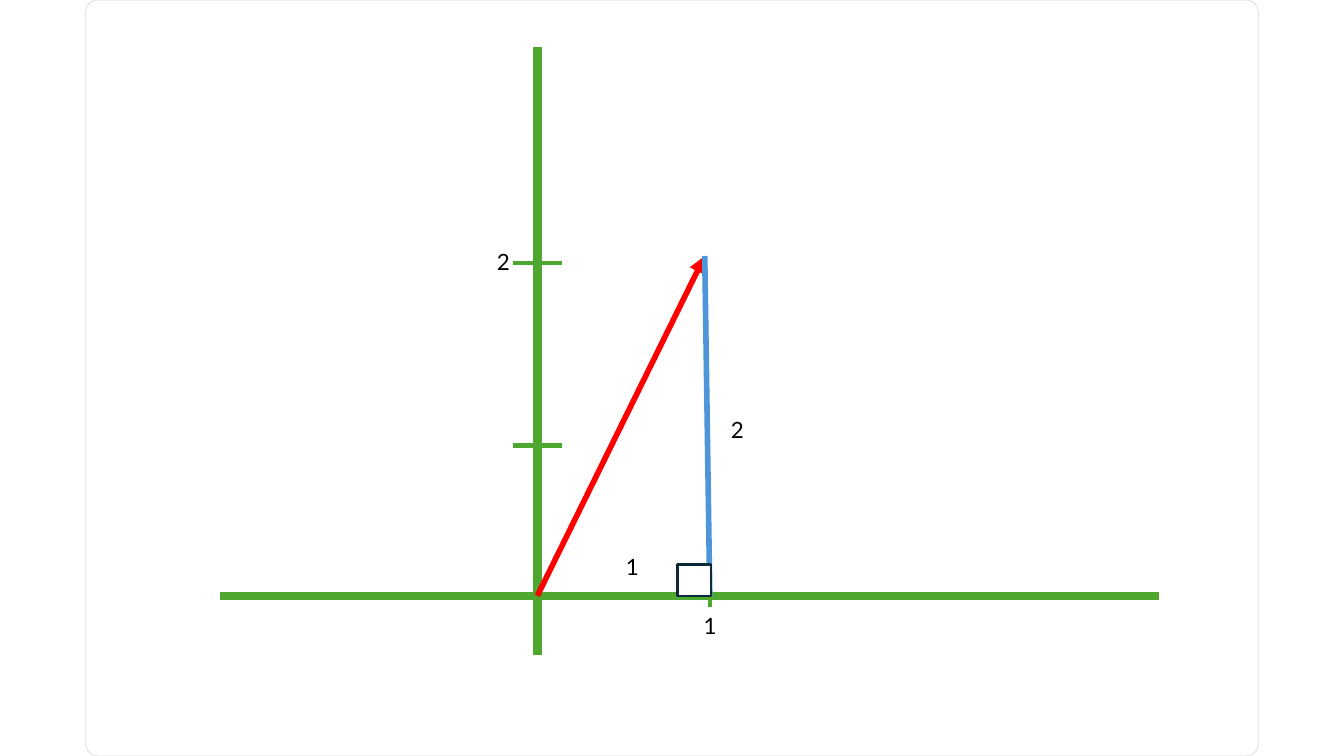
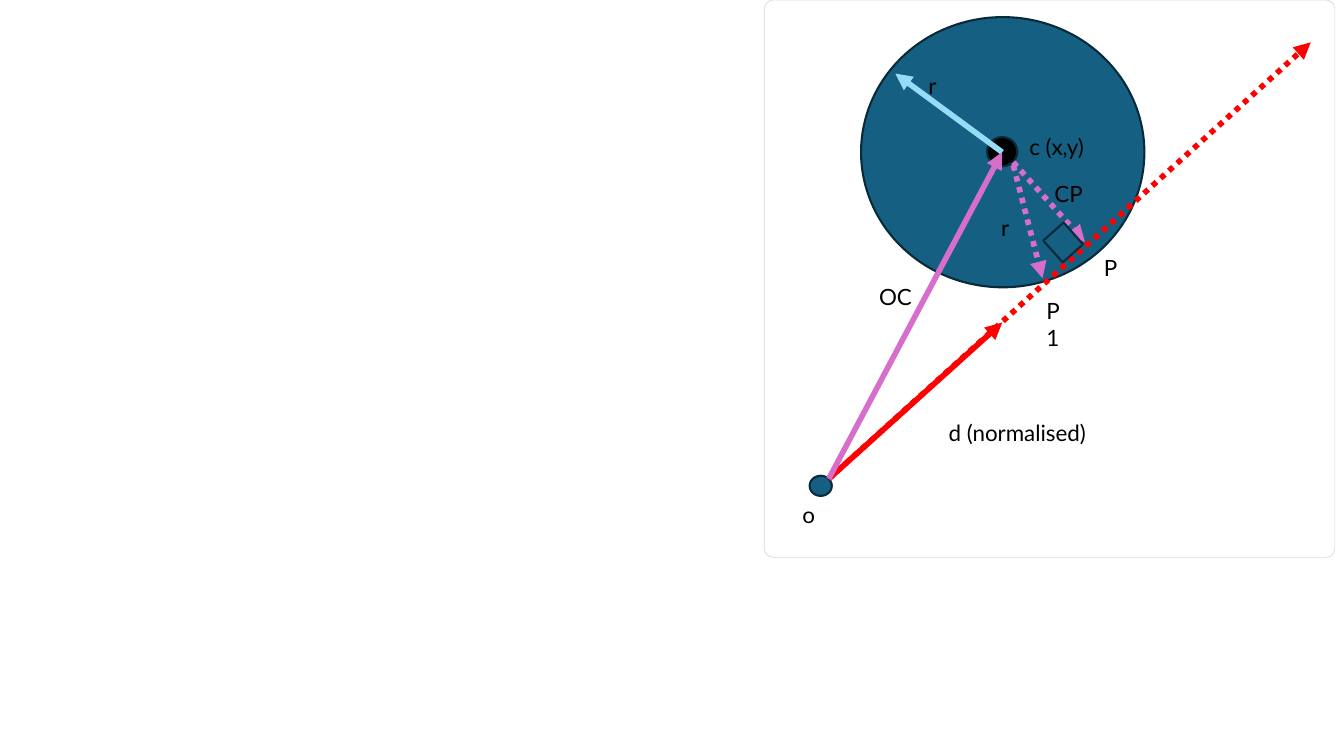
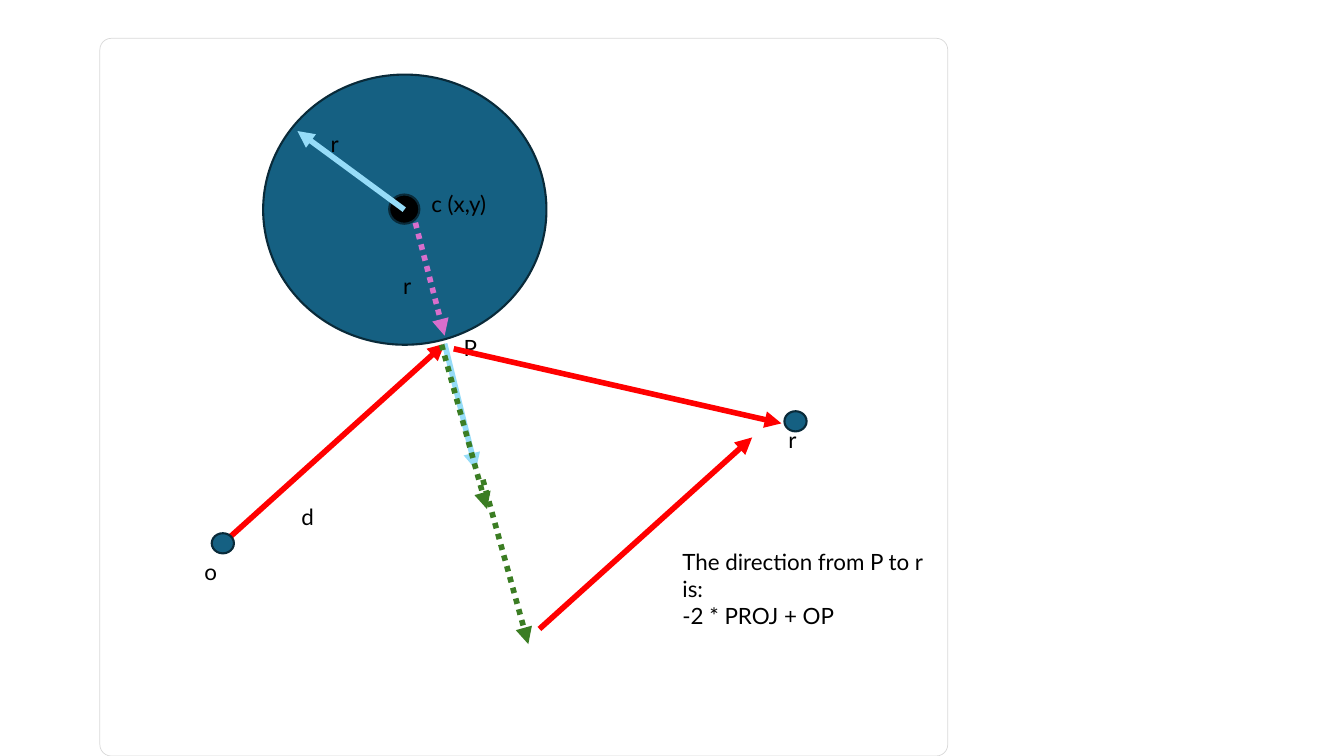
from lxml.etree import SubElement
from pptx import Presentation
from pptx.dml.color import RGBColor
from pptx.enum.dml import MSO_LINE as Dash
from pptx.enum.shapes import MSO_CONNECTOR as Connector, MSO_SHAPE as Preset
from pptx.enum.text import MSO_AUTO_SIZE as AutoSize, PP_ALIGN as Align
from pptx.oxml.ns import qn
from pptx.util import Pt

PX = 9144
SLIDE_SIZE = (1333, 750)

THEME = {
    "colors": {
        "white": "FFFFFF", "border": "D9D9D9", "black": "000000",
        "axis": "4EA72E", "ray": "FF0000", "side": "4E95D9",
        "sphere": "156082", "outline": "092A39", "radius": "96DCF8",
        "center_ray": "D86ECC", "projection": "3B7D23",
    },
    "font": {"name": "Lato", "size": Pt(16)},
    "widths": {"card": 0.5, "outline": 1.5, "tick": 3, "arrow": 4, "axis": 6},
    "card_corner": 0.016,
}

ORIGIN = (533, 591)
TICK_HALF = 24
Y_TICKS = (442, 261)
X_TICK = 704
VECTOR_TIP = (699, 254)

AXIS_PARTS = [
    ("line", (1150, ORIGIN[1]), (218, ORIGIN[1]), "axis", {"width": "axis"}),
    ("line", (ORIGIN[0], 47), (ORIGIN[0], 650), "axis", {"width": "axis"}),
    ("arrow", ORIGIN, VECTOR_TIP, "ray"),
    ("label", (483, 241, 32, 37), "2"),
    ("label", (688, 602, 32, 37), "1"),
    *[("line", (ORIGIN[0] + TICK_HALF, y), (ORIGIN[0] - TICK_HALF, y), "axis", {"width": "tick"})
      for y in Y_TICKS],
    ("line", (X_TICK, 602), (X_TICK, 572), "axis", {"width": "tick"}),
    ("line", (X_TICK, ORIGIN[1]), VECTOR_TIP, "side"),
    ("outlined", "square", (672, 560, 33, 31), "white"),
    ("label", (715, 408, 32, 37), "2"),
    ("label", (611, 544, 32, 37), "1"),
]

SPHERE_PARTS = [
    ("outlined", "circle", (803, 472, 22, 20), "sphere"),
    ("outlined", "circle", (854, 17, 281, 268), "sphere"),
    ("outlined", "circle", (979, 136, 30, 29), "black"),
    ("label", (911, 67, 28, 37), "r"),
    ("arrow", (994, 151), (888, 73), "radius"),
    ("label", (1011, 127, 75, 37), "c (x,y)"),
    ("label", (786, 492, 33, 37), "o"),
    ("arrow", (1005, 164), (1034, 276), "center_ray", {"dotted": True}),
    ("label", (983, 208, 28, 37), "r"),
]

INTERSECTION_PARTS = [
    ("arrow", (822, 475), (1300, 42), "ray", {"dotted": True}),
    ("arrow", (822, 475), (994, 151), "center_ray"),
    ("label", (1085, 247, 33, 37), "P"),
    ("arrow", (1005, 161), (1076, 240), "center_ray", {"dotted": True}),
    ("outlined", "square", (1041, 226, 27, 29), "sphere", 318.2),
    ("label", (862, 276, 56, 37), "OC"),
    ("label", (931, 411, 161, 37), "d (normalised)"),
    ("label", (1028, 290, 45, 37), "P1", True),
    ("label", (1036, 174, 49, 37), "CP"),
]

REFLECTION_PARTS = [
    ("label", (289, 494, 33, 37), "d"),
    ("label", (450, 327, 33, 37), "P"),
    ("arrow", (441, 341), (472, 466), "radius"),
    ("arrow", (450, 346), (775, 420), "ray"),
    ("arrow", (438, 342), (483, 505), "projection", {"dotted": True}),
    ("label", (667, 539, 277, 64), "The direction from P to r is:\n-2 * PROJ + OP", True),
    ("arrow", (479, 476), (524, 639), "projection", {"dotted": True}),
    ("arrow", (535, 624), (746, 434), "ray"),
    ("label", (772, 418, 28, 37), "r"),
    ("outlined", "circle", (778, 408, 22, 20), "sphere"),
]

SLIDES = [
    {"card": (85, 0, 1163, 750),
     "layers": [(AXIS_PARTS, (0, 0))]},
    {"card": (758, 0, 566, 553),
     "layers": [([("arrow", (822, 475), (994, 320), "ray")], (0, 0)),
                (SPHERE_PARTS, (0, 0)),
                (INTERSECTION_PARTS, (0, 0))]},
    {"card": (99, 38, 841, 712),
     "layers": [([("arrow", (229, 532), (441, 341), "ray")], (0, 0)),
                (SPHERE_PARTS, (-593, 57)),
                (REFLECTION_PARTS, (0, 0))]},
]

PRESETS = {"circle": Preset.OVAL, "square": Preset.RECTANGLE, "card": Preset.ROUNDED_RECTANGLE}


def color(name):
    return RGBColor.from_string(THEME["colors"][name])


def emu(values, offset):
    return [(value + offset[index % 2] * (index < 2)) * PX for index, value in enumerate(values)]


def set_all(target, values):
    for name, value in values.items():
        setattr(target, name, value)


def style_line(line, name, width):
    line.color.rgb = color(name)
    line.width = Pt(THEME["widths"][width])


def add_shape(slide, offset, kind, box, fill, border, width):
    shape = slide.shapes.add_shape(PRESETS[kind], *emu(box, offset))
    shape.shadow.inherit = False
    shape.fill.solid()
    shape.fill.fore_color.rgb = color(fill)
    style_line(shape.line, border, width)
    return shape


def add_card(slide, box):
    card = add_shape(slide, (0, 0), "card", box, "white", "border", "card")
    card.adjustments[0] = THEME["card_corner"]


def add_outlined(slide, offset, kind, box, fill, rotation=0):
    shape = add_shape(slide, offset, kind, box, fill, "outline", "outline")
    shape.rotation = rotation


def add_line(slide, offset, start, end, name, style=None, head=False):
    style = style or {}
    connector = slide.shapes.add_connector(
        Connector.STRAIGHT, *emu(start, offset), *emu(end, offset))
    style_line(connector.line, name, style.get("width", "arrow"))
    if style.get("dotted"):
        connector.line.dash_style = Dash.ROUND_DOT
    properties = connector._element.spPr
    if head:
        SubElement(properties.find(qn("a:ln")), qn("a:tailEnd"), type="triangle")
    SubElement(properties, qn("a:effectLst"))


def add_arrow(slide, offset, start, end, name, style=None):
    add_line(slide, offset, start, end, name, style, head=True)


def add_label(slide, offset, box, text, wrap=False):
    frame = slide.shapes.add_textbox(*emu(box, offset)).text_frame
    set_all(frame, {"text": text, "word_wrap": wrap, "auto_size": AutoSize.SHAPE_TO_FIT_TEXT})
    for paragraph in frame.paragraphs:
        paragraph.alignment = Align.LEFT
        for run in paragraph.runs:
            set_all(run.font, THEME["font"])
            run.font.color.rgb = color("black")


DRAW = {"line": add_line, "arrow": add_arrow, "label": add_label, "outlined": add_outlined}


def main():
    presentation = Presentation()
    width, height = SLIDE_SIZE
    set_all(presentation, {"slide_width": width * PX, "slide_height": height * PX})
    for content in SLIDES:
        slide = presentation.slides.add_slide(presentation.slide_layouts[6])
        add_card(slide, content["card"])
        for parts, offset in content["layers"]:
            for kind, *values in parts:
                DRAW[kind](slide, offset, *values)
    presentation.save("out.pptx")


if __name__ == "__main__":
    main()
